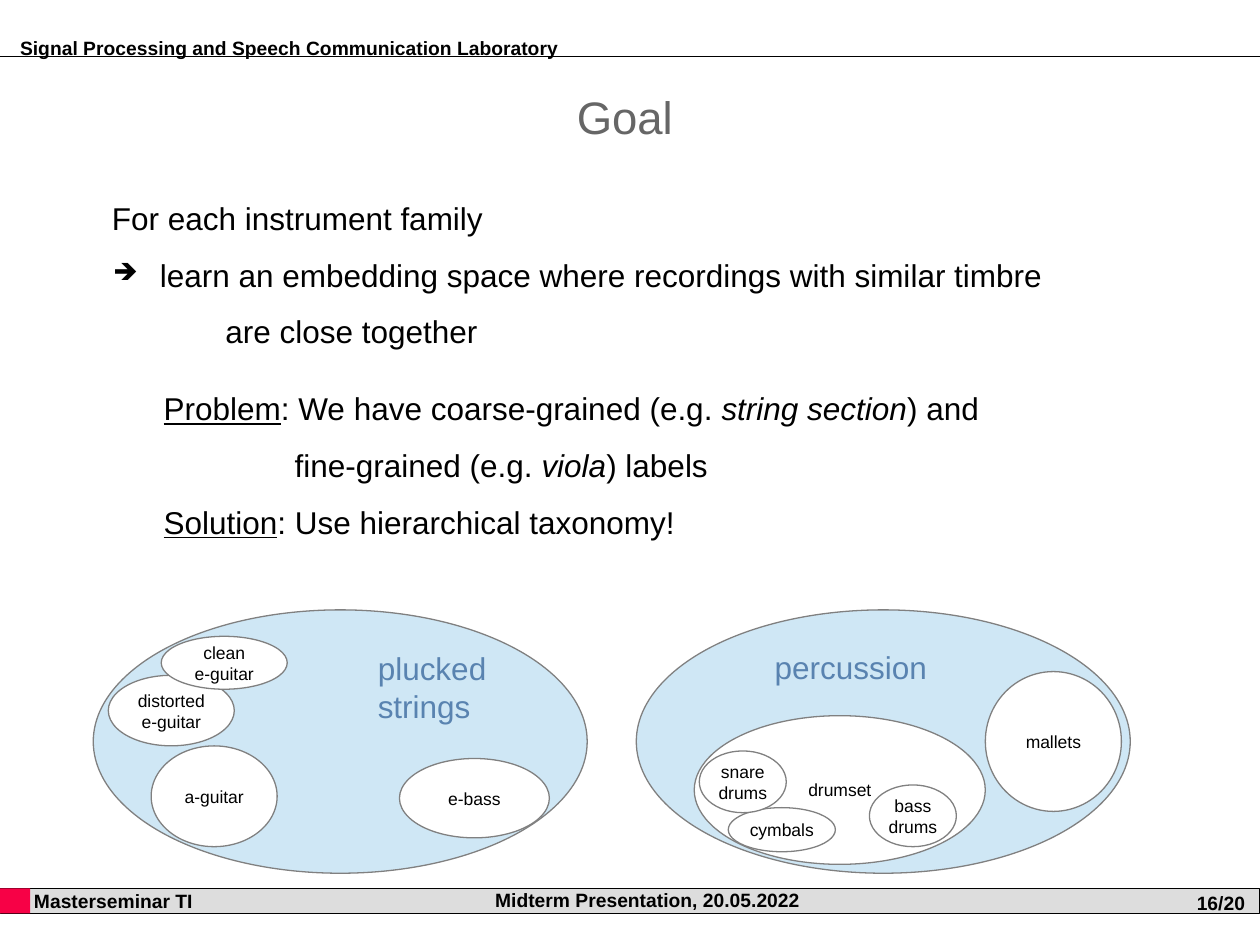
import pptx
import pptx.dml.color
import pptx.enum.shapes
import pptx.enum.text
import pptx.oxml
import pptx.oxml.ns
import pptx.util

COLORS = {
    "black": "000000",
    "white": "FFFFFF",
    "title": "666666",
    "family": "CFE7F5",
    "family_name": "5983B0",
    "outline": "808080",
    "footer": "DDDDDD",
    "accent": "F70146",
}
COLUMNS, ROWS = 100, 75
WIDTH, HEIGHT = pptx.util.Inches(10), pptx.util.Inches(7.5)
ALIGN = pptx.enum.text.PP_ALIGN
ANCHOR = pptx.enum.text.MSO_ANCHOR
SHAPE = pptx.enum.shapes.MSO_SHAPE

FAMILIES = [(7.4, 48.4, 39.2, 20.9), (50.5, 48.4, 39.2, 20.9)]
INSTRUMENTS = [
    ("distorted\ne-guitar", (8.6, 53.6, 10, 5.6)),
    ("clean\ne-guitar", (12.8, 50.5, 10, 4.2)),
    ("e-bass", (31.7, 60.2, 11.9, 6.3)),
    ("a-guitar", (12, 59.2, 10, 8)),
    ("drumset", (55.1, 56.8, 23.1, 11.8)),
    ("cymbals", (57.8, 64.1, 8.5, 3.5)),
    ("snare\ndrums", (55.5, 59.6, 6.9, 4.9)),
    ("bass\ndrums", (69, 62.3, 6.9, 4.9)),
    ("mallets", (78.2, 53.3, 10.8, 11.1)),
]
FAMILY_NAMES = [
    ("plucked strings", (29, 51, 12.3, 7.9)),
    ("percussion", (60.5, 50.9, 15.4, 4.6)),
]
STATEMENTS = [
    ([("For each instrument family", "")], {}),
    ([("learn an embedding space where recordings with similar timbre", "")],
     {"left": 0.38, "hang": -0.37, "bullet": "➔"}),
    ([("are close together", "")], {"left": 0.9, "after": 11.5}),
    ([("Problem", "u"), (": We have coarse-grained (e.g. ", ""),
      ("string section", "i"), (") and", "")], {"left": 0.41}),
    ([("fine-grained (e.g. ", ""), ("viola", "i"), (") labels", "")],
     {"left": 1.45}),
    ([("Solution", "u"), (": Use hierarchical taxonomy!", "")],
     {"left": 0.41}),
]


def color(name):
    return pptx.dml.color.RGBColor.from_string(COLORS[name])


def grid(place):
    left, top, width, height = place
    return (int(WIDTH * left / COLUMNS), int(HEIGHT * top / ROWS),
            int(WIDTH * width / COLUMNS), int(HEIGHT * height / ROWS))


def add_bullet(para, mark):
    properties = para._p.get_or_add_pPr()
    for xml in ('<a:buClr %s><a:srgbClr val="' + COLORS["black"] + '"/></a:buClr>',
                '<a:buSzPct %s val="75000"/>',
                '<a:buChar %s char="' + mark + '"/>'):
        properties.append(pptx.oxml.parse_xml(xml % pptx.oxml.ns.nsdecls("a")))


def add_para(para, spans, size=10, ink="black", bold=False, align=ALIGN.LEFT,
             spacing=1.0, after=0, left=0, hang=0, bullet=None):
    properties = para._p.get_or_add_pPr()
    properties.set("marL", str(pptx.util.Inches(left)))
    properties.set("indent", str(pptx.util.Inches(hang)))
    if bullet:
        add_bullet(para, bullet)
    para.alignment = align
    para.line_spacing = spacing
    para.space_after = pptx.util.Pt(after)
    for text, style in spans:
        span = para.add_run()
        span.text = text
        span.font.name = "Arial"
        span.font.size = pptx.util.Pt(size)
        span.font.bold = bold
        span.font.italic = style == "i"
        span.font.underline = style == "u"
        span.font.color.rgb = color(ink)


def write(box, text, anchor=ANCHOR.TOP, wrap=True, inset=0.1, **style):
    frame = box.text_frame
    frame.word_wrap = wrap
    frame.vertical_anchor = anchor
    frame.margin_left = pptx.util.Inches(inset)
    if isinstance(text, str):
        text = [([(line, "")], {}) for line in text.split("\n")]
    for index, (spans, extra) in enumerate(text):
        para = frame.add_paragraph() if index else frame.paragraphs[0]
        add_para(para, spans, **{**style, **extra})


def add_text(page, text, place, **style):
    write(page.shapes.add_textbox(*grid(place)), text, **style)


def add_figure(page, kind, place, fill, line=None, line_width=0):
    shape = page.shapes.add_shape(kind, *grid(place))
    shape.shadow.inherit = False
    shape.fill.solid()
    shape.fill.fore_color.rgb = color(fill)
    if line:
        shape.line.color.rgb = color(line)
        shape.line.width = pptx.util.Pt(line_width)
    else:
        shape.line.fill.background()
    return shape


def add_rule(page, row):
    left, top, width, _ = grid((0, row, COLUMNS, 0))
    rule = page.shapes.add_connector(
        pptx.enum.shapes.MSO_CONNECTOR.STRAIGHT, left, top, left + width, top)
    rule.line.color.rgb = color("black")
    rule.line.width = pptx.util.Pt(0.75)
    rule._element.spPr.append(pptx.oxml.parse_xml(
        "<a:effectLst %s/>" % pptx.oxml.ns.nsdecls("a")))


def add_frame(page):
    label = {"size": 11, "bold": True}
    add_rule(page, 4.5)
    add_text(page, "Signal Processing and Speech Communication Laboratory",
             (0.8, 2.4, 44.6, 2.8), wrap=False, inset=0.08, **label)
    footer = add_figure(page, SHAPE.RECTANGLE, (0, 70.5, COLUMNS, 2),
                        "footer", "black", 0.5)
    write(footer, "Masterseminar TI", anchor=ANCHOR.MIDDLE, inset=0.27, **label)
    add_figure(page, SHAPE.RECTANGLE, (0, 70.5, 2.4, 2), "accent")
    add_text(page, "Midterm Presentation, 20.05.2022", (35.2, 70.2, 32.4, 2.4),
             anchor=ANCHOR.MIDDLE, align=ALIGN.CENTER, **label)
    add_text(page, "16/20", (94, 70, 6, 3.3), anchor=ANCHOR.MIDDLE,
             wrap=False, **label)


def add_taxonomy(page):
    for place in FAMILIES:
        add_figure(page, SHAPE.OVAL, place, "family", "outline")
    for name, place in INSTRUMENTS:
        oval = add_figure(page, SHAPE.OVAL, place, "white", "outline")
        write(oval, name, anchor=ANCHOR.MIDDLE, wrap=False, align=ALIGN.CENTER)
    for name, place in FAMILY_NAMES:
        add_text(page, name, place, size=18, ink="family_name")


def main():
    deck = pptx.Presentation()
    deck.slide_width, deck.slide_height = WIDTH, HEIGHT
    page = deck.slides.add_slide(deck.slide_layouts[6])
    add_frame(page)
    add_text(page, "Goal", (7.1, 7.1, 85, 6.3), size=26, ink="title",
             align=ALIGN.CENTER, spacing=0.9)
    add_text(page, STATEMENTS, (7.9, 13.8, 85, 26.3), size=18, spacing=1.5)
    add_taxonomy(page)
    deck.save("out.pptx")


if __name__ == "__main__":
    main()
